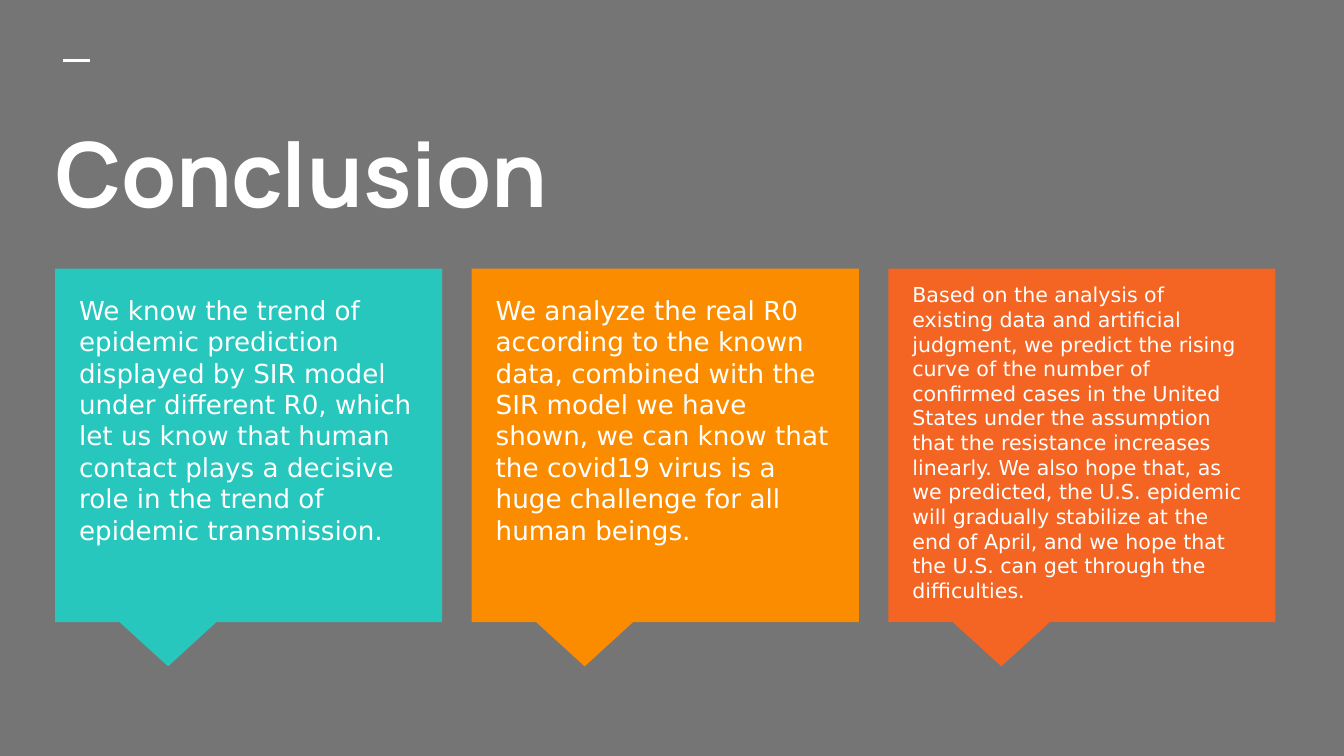
"""Build the conclusion slide with three coloured callout cards."""
import dataclasses

import pptx
import pptx.dml.color
import pptx.enum.shapes
import pptx.enum.text
import pptx.oxml
import pptx.oxml.ns
import pptx.slide
import pptx.text.text
import pptx.util
from pptx.util import Inches

WHITE = "FFFFFF"
SLIDE_WIDTH = 10
CARD_LEFT, CARD_STEP = 0.41, 3.1
CARD_TOP, CARD_WIDTH, CARD_HEIGHT = 2, 2.88, 2.63
TEXT_INDENT, TEXT_WIDTH = 0.08, 2.71


@dataclasses.dataclass(frozen=True)
class Card:
    fill: str
    text: str
    size: int = 14
    text_top: float = 2.09
    text_height: float = 2.19


CARDS = [
    Card("27C7BD", "We know the trend of epidemic prediction displayed by SIR model under "
         "different R0, which let us know that human contact plays a decisive role in the "
         "trend of epidemic transmission."),
    Card("FB8C00", "We analyze the real R0 according to the known data, combined with the "
         "SIR model we have shown, we can know that the covid19 virus is a huge challenge "
         "for all human beings."),
    Card("F46524", "Based on the analysis of existing data and artificial judgment, we "
         "predict the rising curve of the number of confirmed cases in the United States "
         "under the assumption that the resistance increases linearly. We also hope that, "
         "as we predicted, the U.S. epidemic will gradually stabilize at the end of April, "
         "and we hope that the U.S. can get through the difficulties.", 11, 2, 2.36),
]


def color(value: str) -> pptx.dml.color.RGBColor:
    return pptx.dml.color.RGBColor.from_string(value)


def write(frame: pptx.text.text.TextFrame, text: str, font: str, size: int,
          bold: bool = False) -> pptx.text.text._Paragraph:
    frame.word_wrap = True
    frame.auto_size = pptx.enum.text.MSO_AUTO_SIZE.NONE
    frame.vertical_anchor = pptx.enum.text.MSO_ANCHOR.TOP
    frame.margin_left = frame.margin_right = Inches(0.1)
    frame.margin_top = frame.margin_bottom = Inches(0.1)
    frame.text = text
    paragraph = frame.paragraphs[0]
    paragraph.alignment = pptx.enum.text.PP_ALIGN.LEFT
    paragraph.font.name = font
    paragraph.font.size = pptx.util.Pt(size)
    paragraph.font.bold = bold
    paragraph.font.color.rgb = color(WHITE)
    return paragraph


def add_dash(page: pptx.slide.Slide) -> None:
    dash = page.shapes.add_connector(
        pptx.enum.shapes.MSO_CONNECTOR.STRAIGHT,
        Inches(0.47), Inches(0.45), Inches(0.67), Inches(0.45))
    dash.line.color.rgb = color(WHITE)
    dash.line.width = pptx.util.Pt(1.5)
    properties = dash._element.spPr
    properties.append(pptx.oxml.parse_xml(
        f"<a:effectLst {pptx.oxml.ns.nsdecls('a')}/>"))


def add_title(page: pptx.slide.Slide, text: str) -> None:
    title = page.shapes.title
    title.left, title.top = Inches(0.31), Inches(0.78)
    title.width, title.height = Inches(9.43), Inches(1.12)
    write(title.text_frame, text, "Manrope", 48, bold=True)


def add_card(page: pptx.slide.Slide, card: Card, left: float) -> None:
    callout = page.shapes.add_shape(
        pptx.enum.shapes.MSO_SHAPE.RECTANGULAR_CALLOUT, Inches(left),
        Inches(CARD_TOP), Inches(CARD_WIDTH), Inches(CARD_HEIGHT))
    callout.adjustments[0] = -0.208
    callout.adjustments[1] = 0.625
    callout.shadow.inherit = False
    callout.fill.solid()
    callout.fill.fore_color.rgb = color(card.fill)
    callout.line.fill.background()
    box = page.shapes.add_textbox(
        Inches(left + TEXT_INDENT), Inches(card.text_top),
        Inches(TEXT_WIDTH), Inches(card.text_height))
    paragraph = write(box.text_frame, card.text, "DejaVu Sans", card.size)
    paragraph.space_after = pptx.util.Pt(12)


def main() -> None:
    deck = pptx.Presentation()
    deck.slide_width = Inches(SLIDE_WIDTH)
    deck.slide_height = Inches(SLIDE_WIDTH * 9 / 16)
    page = deck.slides.add_slide(deck.slide_layouts.get_by_name("Title Only"))
    page.background.fill.solid()
    page.background.fill.fore_color.rgb = color("757575")
    add_dash(page)
    add_title(page, "Conclusion")
    for index, card in enumerate(CARDS):
        add_card(page, card, CARD_LEFT + index * CARD_STEP)
    deck.save("out.pptx")


if __name__ == "__main__":
    main()
